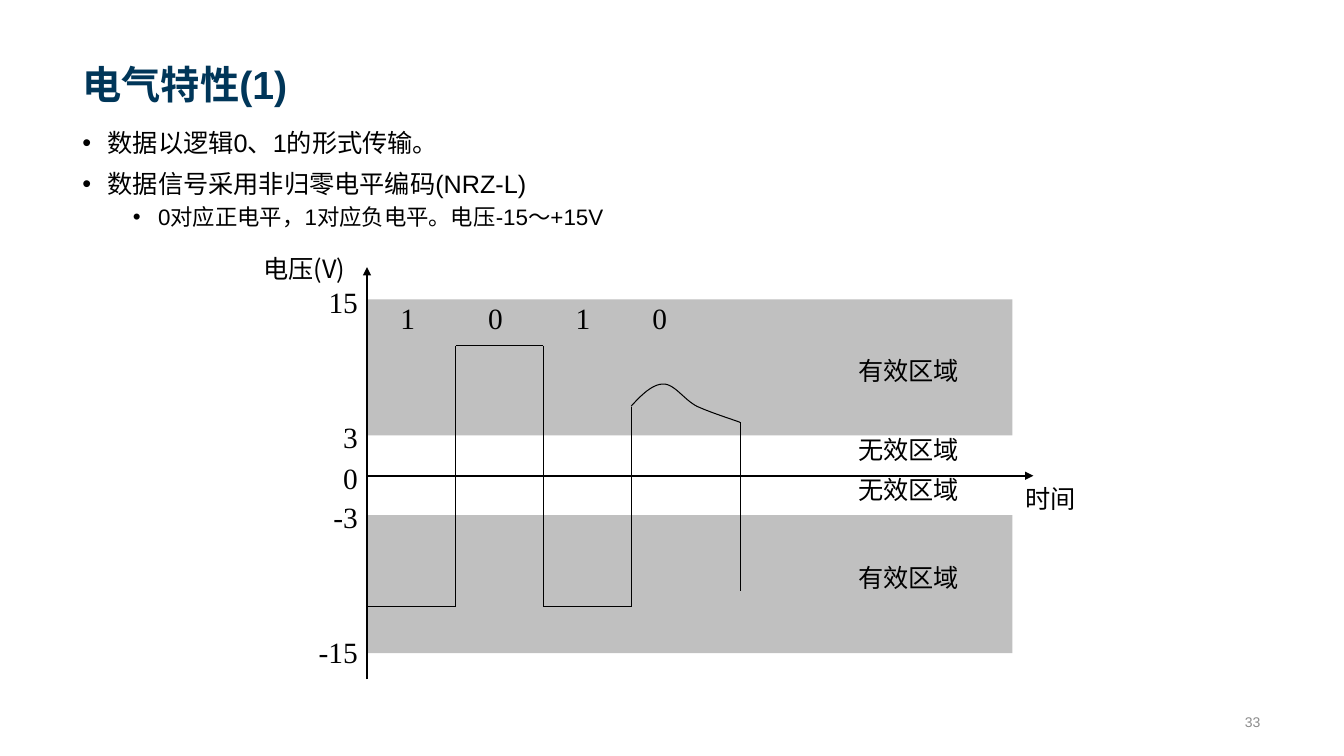
from dataclasses import dataclass
from itertools import pairwise

from lxml import etree
from pptx import Presentation
from pptx import util as u
from pptx.dml.color import RGBColor
from pptx.enum import shapes, text
from pptx.oxml.ns import qn


@dataclass(frozen=True)
class Theme:
    navy: str = "003659"
    ink: str = "000000"
    band: str = "C0C0C0"
    muted: str = "8C8C8C"
    sans: str = "Arial"
    cjk: str = "Noto Sans CJK SC"
    serif: str = "Times New Roman"
    title: int = 28
    body: int = 18
    detail: int = 16
    digit: int = 21
    number: int = 10
    axis: float = 1.5
    signal: float = 0.75


theme = Theme()
deck = Presentation()
deck.slide_width, deck.slide_height = u.Inches(13.33), u.Inches(7.5)
slide = deck.slides.add_slide(deck.slide_layouts[5])


def write(paragraph, words, size, face=theme.sans, color=theme.ink, bold=False):
    run = paragraph.add_run()
    run.text = words
    run.font.size, run.font.bold = u.Pt(size), bold
    run.font.color.rgb = RGBColor.from_string(color)
    run.font.name = face
    etree.SubElement(run.font._element, qn("a:ea"), typeface=theme.cjk)


def text_box(left, top, width, height, inset=0, wrap=False):
    box = slide.shapes.add_textbox(*map(u.Inches, (left, top, width, height)))
    frame = box.text_frame
    frame.word_wrap = wrap
    frame.margin_left = frame.margin_right = u.Inches(inset)
    frame.margin_top = frame.margin_bottom = u.Inches(inset / 2)
    return frame


margin = 0.72
heading = slide.shapes.title
heading.left, heading.top = u.Inches(margin), u.Inches(0.14)
heading.width, heading.height = u.Inches(11.88), u.Inches(0.98)
heading.text_frame.vertical_anchor = text.MSO_ANCHOR.BOTTOM
heading.text_frame.auto_size = text.MSO_AUTO_SIZE.NONE
heading_line = heading.text_frame.paragraphs[0]
heading_line.alignment = text.PP_ALIGN.LEFT
heading_line.line_spacing = 0.9
write(heading_line, "电气特性(1)", theme.title, color=theme.navy, bold=True)

points = [
    ("数据以逻辑0、1的形式传输。", 0, theme.body, 0),
    ("数据信号采用非归零电平编码(NRZ-L)", 0, theme.body, 10),
    ("0对应正电平，1对应负电平。电压-15～+15V", 1, theme.detail, 5),
]
summary = text_box(margin, 1.25, 10.67, 1.14, inset=0.1, wrap=True)
for index, (words, level, size, before) in enumerate(points):
    point = summary.add_paragraph() if index else summary.paragraphs[0]
    point.level = level
    properties = point._p.get_or_add_pPr()
    properties.set("marL", str(u.Inches(0.25 + 0.5 * level)))
    properties.set("indent", str(u.Inches(-0.25)))
    etree.SubElement(properties, qn("a:buFont"), typeface=theme.sans)
    etree.SubElement(properties, qn("a:buChar"), char="•")
    point.line_spacing = 0.9
    point.space_before = u.Pt(before)
    write(point, words, size)

origin, zero, bit = 3.65, 4.72, 0.87
high, low = 3.43, 6.02
edges = [origin + bit * step for step in range(4)]
fall = 7.34

axes = [((3.64, 6.74), (3.64, 2.65)), ((origin, zero), (10.25, zero))]
steps = [(edges[0], low), (edges[1], low), (edges[1], high), (edges[2], high),
         (edges[2], low), (edges[3], low), (edges[3], 4.04)]
signal = [*pairwise(steps), ((fall, 4.19), (fall, 5.86))]

for top, height in ((2.97, 1.35), (5.11, 1.37)):
    valid_band = slide.shapes.add_shape(
        shapes.MSO_SHAPE.RECTANGLE, *map(u.Inches, (origin, top, 6.39, height)))
    valid_band.shadow.inherit = False
    valid_band.fill.solid()
    valid_band.fill.fore_color.rgb = RGBColor.from_string(theme.band)
    valid_band.line.fill.background()

for start, end in axes + signal:
    stroke = slide.shapes.add_connector(
        shapes.MSO_CONNECTOR.STRAIGHT, *map(u.Inches, (*start, *end)))
    is_axis = (start, end) in axes
    stroke.line.color.rgb = RGBColor.from_string(theme.ink)
    stroke.line.width = u.Pt(theme.axis if is_axis else theme.signal)
    if is_axis:
        etree.SubElement(stroke.line._get_or_add_ln(), qn("a:tailEnd"), type="triangle")
    etree.SubElement(stroke._element.spPr, qn("a:effectLst"))

knots = [(6.26, 4.03), (6.36, 3.92), (6.47, 3.81), (6.58, 3.81), (6.69, 3.81),
         (6.78, 3.96), (6.91, 4.03), (7.04, 4.09), (7.26, 4.16), (7.34, 4.19)]
samples = 16
pulse_points = []
for first in range(0, len(knots) - 1, 3):
    for step in range(1, samples + 1):
        t = step / samples
        weights = ((1 - t) ** 3, 3 * t * (1 - t) ** 2, 3 * t * t * (1 - t), t ** 3)
        curve = list(zip(weights, knots[first:first + 4]))
        pulse_points.append(tuple(
            u.Inches(sum(weight * knot[axis] for weight, knot in curve)) for axis in (0, 1)))
builder = slide.shapes.build_freeform(*map(u.Inches, knots[0]))
builder.add_line_segments(pulse_points, close=False)
pulse = builder.convert_to_shape()
pulse.shadow.inherit = False
pulse.fill.background()
pulse.line.color.rgb = RGBColor.from_string(theme.ink)
pulse.line.width = u.Pt(theme.signal)

for digit, left in zip("1010", (3.97, 4.84, 5.71, 6.47)):
    bit_label = text_box(left, 2.98, 0.15, 0.35)
    write(bit_label.paragraphs[0], digit, theme.digit, theme.serif)

for validity, top in (("有效", 3.53), ("无效", 4.31), ("无效", 4.71), ("有效", 5.58)):
    zone = text_box(8.51, top, 1.01, 0.3).paragraphs[0]
    write(zone, validity, theme.body, theme.cjk)
    write(zone, "区域", theme.body)

for name, left, top, width in (("时间", 10.17, 4.79, 0.51), ("电压(V)", 2.61, 2.51, 0.88)):
    axis_name = text_box(left, top, width, 0.3)
    write(axis_name.paragraphs[0], name, theme.body, theme.cjk)

label_right, label_width = 3.55, 0.6
for volts, top in (("15", 2.82), ("3", 4.16), ("0", 4.56), ("-3", 4.95), ("-15", 6.29)):
    tick_box = text_box(label_right - label_width, top, label_width, 0.35, wrap=True)
    tick = tick_box.paragraphs[0]
    tick.alignment = text.PP_ALIGN.RIGHT
    write(tick, volts, theme.digit, theme.serif)

page = text_box(8.5, 7.01, 4.1, 0.3, inset=0.1, wrap=True)
page.vertical_anchor = text.MSO_ANCHOR.MIDDLE
page.paragraphs[0].alignment = text.PP_ALIGN.RIGHT
write(page.paragraphs[0], "33", theme.number, color=theme.muted)

deck.save("out.pptx")
